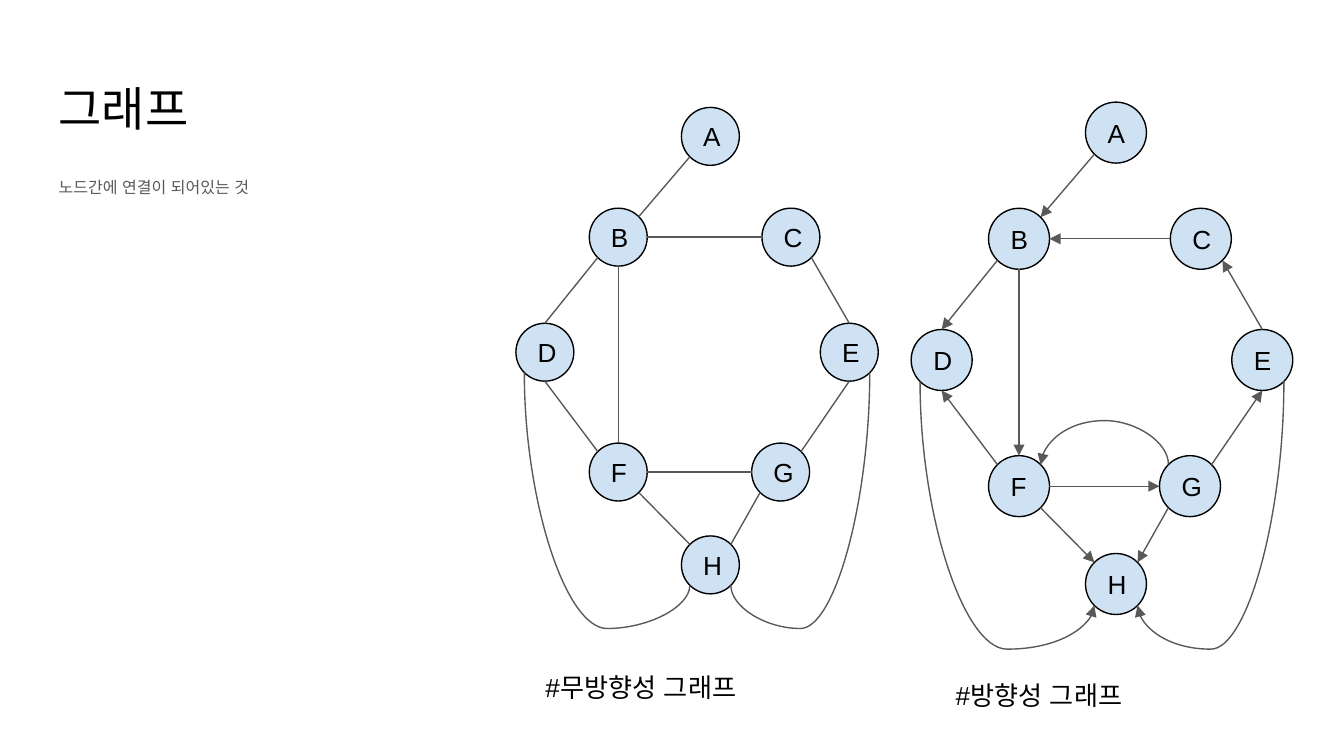
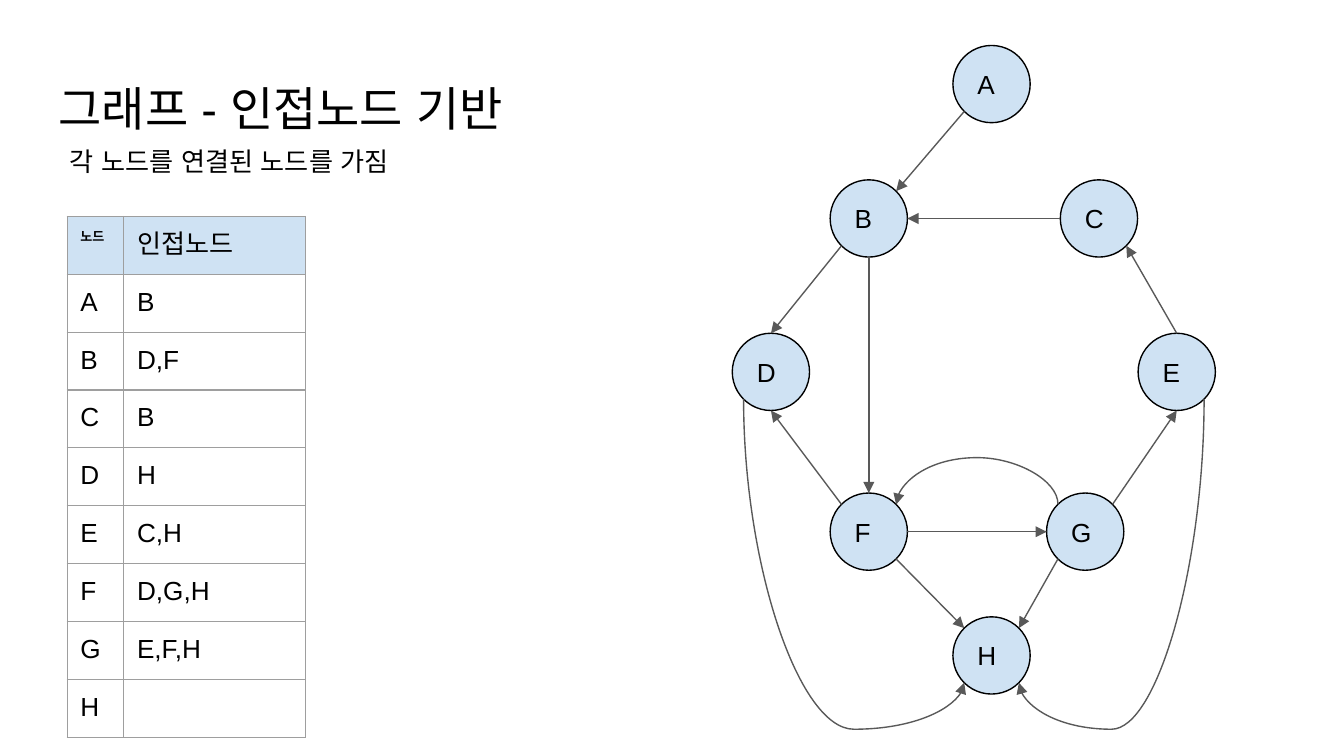
from lxml import etree
from pptx import Presentation
from pptx.dml.color import RGBColor
from pptx.enum.shapes import MSO_CONNECTOR, MSO_SHAPE
from pptx.enum.text import MSO_ANCHOR, MSO_AUTO_SIZE
from pptx.oxml.ns import qn
from pptx.util import Cm, Pt

STRAIGHT, CURVE = MSO_CONNECTOR.STRAIGHT, MSO_CONNECTOR.CURVE
ELLIPSE = MSO_SHAPE.OVAL
MIDDLE, TOP = MSO_ANCHOR.MIDDLE, MSO_ANCHOR.TOP
GROW = MSO_AUTO_SIZE.SHAPE_TO_FIT_TEXT

# Shared look
FONT = "Arial"
BLACK, GREY, PALE_BLUE, BORDER = "000000", "595959", "CFE2F3", "9E9E9E"
INSET = Cm(0.25)
LINE_WIDTH = Pt(0.75)
BODY_SIZE = 14

# Graph at full size, in cm: left and top of every node
NODE_SIZE = 1.46
NODES = {
    "A": (4.17, 0), "B": (1.85, 2.54), "C": (6.2, 2.54), "D": (0, 5.44),
    "F": (1.85, 8.46), "H": (4.17, 10.8), "G": (5.94, 8.46), "E": (7.67, 5.44),
}
# Connection sites of an ellipse: number and direction from the centre
DIAGONAL = 0.5 ** 0.5
SITES = {
    "top": (0, 0, -1), "top left": (1, -DIAGONAL, -DIAGONAL),
    "left": (2, -1, 0), "bottom left": (3, -DIAGONAL, DIAGONAL),
    "bottom": (4, 0, 1), "bottom right": (5, DIAGONAL, DIAGONAL),
    "right": (6, 1, 0), "top right": (7, DIAGONAL, -DIAGONAL),
}
EDGES = [
    ("A", "bottom left", "B", "top right"),
    ("B", "bottom left", "D", "top"),
    ("B", "bottom", "F", "top"),
    ("C", "left", "B", "right"),
    ("E", "top", "C", "bottom right"),
    ("F", "right", "G", "left"),
    ("F", "top left", "D", "bottom"),
    ("F", "bottom right", "H", "top left"),
    ("G", "bottom left", "H", "top right"),
    ("G", "top right", "E", "bottom"),
]
LOWER_ARCS = [
    ("D", "bottom left", "H", "bottom left"),
    ("E", "bottom right", "H", "bottom right"),
]
RETURN_ARC = ("G", "top left", "F", "top right")

ADJACENCY = [
    ("노드", "인접노드"), ("A", "B"), ("B", "D,F"), ("C", "B"), ("D", "H"),
    ("E", "C,H"), ("F", "D,G,H"), ("G", "E,F,H"), ("H", ""),
]
COLUMN_WIDTHS = [1.07, 1.22, 1.14, 1.07]
ROW_HEIGHT = 1.04


def rgb(value):
    return RGBColor.from_string(value)


def add_xml(parent, tag, **attributes):
    return etree.SubElement(parent, qn(tag), attributes)


# Text
def write_text(frame, text, size=BODY_SIZE, color=BLACK, bold=False,
               anchor=TOP, line_spacing=None, space_after=None):
    frame.word_wrap = True
    frame.vertical_anchor = anchor
    frame.margin_left = frame.margin_right = INSET
    frame.margin_top = frame.margin_bottom = INSET
    para = frame.paragraphs[0]
    if line_spacing:
        para.line_spacing = line_spacing
    if space_after:
        para.space_after = Pt(space_after)
    if not text:
        add_xml(para._p, "a:endParaRPr", sz=str(size * 100))
        return
    span = para.add_run()
    span.text = text
    span.font.name = FONT
    span.font.size = Pt(size)
    span.font.bold = bold
    span.font.color.rgb = rgb(color)
    add_xml(span.font._element, "a:ea", typeface=FONT)


def add_text(page, text, left, top, width, height, grow=False, **style):
    box = page.shapes.add_textbox(Cm(left), Cm(top), Cm(width), Cm(height))
    write_text(box.text_frame, text, **style)
    if grow:
        box.text_frame.auto_size = GROW


def add_title(page, text):
    add_text(page, text, 0.86, 1.25, 10.54, 1.6, size=25.2)


# Graph parts
def add_node(shapes, name, left, top, size):
    node = shapes.add_shape(ELLIPSE, Cm(left), Cm(top), Cm(size), Cm(size))
    node.shadow.inherit = False
    node.fill.solid()
    node.fill.fore_color.rgb = rgb(PALE_BLUE)
    node.line.color.rgb = rgb(BLACK)
    node.line.width = LINE_WIDTH
    write_text(node.text_frame, name, anchor=MIDDLE)
    node.text_frame.paragraphs[0].alignment = 1
    return node


def site_point(node, site):
    _, across, down = SITES[site]
    radius = node.width / 2
    return (round(node.left + radius * (1 + across)),
            round(node.top + radius * (1 + down)))


def finish_edge(edge, nodes, ends, arrow):
    """Style a connector and attach it to the nodes at its two ends."""
    start, start_site, end, end_site = ends
    edge.line.color.rgb = rgb(GREY)
    edge.line.width = LINE_WIDTH
    if arrow:
        add_xml(edge.line._get_or_add_ln(), "a:tailEnd", type="triangle")
    add_xml(edge._element.spPr, "a:effectLst")
    joints = edge._element.find(".//" + qn("p:cNvCxnSpPr"))
    for tag, name, site in (("a:stCxn", start, start_site),
                            ("a:endCxn", end, end_site)):
        add_xml(joints, tag, id=str(nodes[name].shape_id),
                idx=str(SITES[site][0]))


def add_edge(shapes, nodes, ends, arrow):
    start, start_site, end, end_site = ends
    edge = shapes.add_connector(STRAIGHT, *site_point(nodes[start], start_site),
                                *site_point(nodes[end], end_site))
    finish_edge(edge, nodes, ends, arrow)


def add_arc(shapes, nodes, ends, arrow, below):
    """Curve that leaves and arrives vertically, passing below or above."""
    start, start_site, end, end_site = ends
    x1, y1 = site_point(nodes[start], start_site)
    x2, y2 = site_point(nodes[end], end_site)
    sag = Cm(0.63) + 0.17 * nodes[start].width
    # The box is laid on its side, so its width is the vertical run
    width, height = max(y2 - y1, Cm(0.01)), abs(x2 - x1)
    left = round((x1 + x2 - width) / 2)
    top = round((y1 + y2 - height) / 2)
    arc = shapes.add_connector(CURVE, left, top, left + width, top + height)
    frame = arc._element.spPr.find(qn("a:xfrm"))
    if x2 > x1:
        frame.set("rot", str(270 * 60000))
        frame.set("flipH", "1")
    else:
        frame.set("rot", str(90 * 60000))
    bend = (width + sag if below else -sag) / width
    guides = arc._element.spPr.find(".//" + qn("a:avLst"))
    add_xml(guides, "a:gd", name="adj1", fmla=f"val {round(bend * 100000)}")
    finish_edge(arc, nodes, ends, arrow)


def add_graph(shapes, left, top, scale=1.0, directed=True):
    nodes = {
        name: add_node(shapes, name, left + x * scale, top + y * scale,
                       NODE_SIZE * scale)
        for name, (x, y) in NODES.items()
    }
    for ends in EDGES:
        add_edge(shapes, nodes, ends, directed)
    for ends in LOWER_ARCS:
        add_arc(shapes, nodes, ends, directed, below=True)
    if directed:
        add_arc(shapes, nodes, RETURN_ARC, directed, below=False)


# Table
def add_borders(cell):
    properties = cell._tc.get_or_add_tcPr()
    for place, side in enumerate(("a:lnL", "a:lnR", "a:lnT", "a:lnB")):
        line = etree.Element(qn(side), w=str(LINE_WIDTH))
        add_xml(add_xml(line, "a:solidFill"), "a:srgbClr", val=BORDER)
        properties.insert(place, line)


def add_adjacency_table(page, left, top):
    rows, columns = len(ADJACENCY), len(COLUMN_WIDTHS)
    table = page.shapes.add_table(
        rows, columns, Cm(left), Cm(top),
        Cm(sum(COLUMN_WIDTHS)), Cm(ROW_HEIGHT * rows)).table
    table.first_row = table.horz_banding = False
    for column, width in zip(table.columns, COLUMN_WIDTHS):
        column.width = Cm(width)
    for index, texts in enumerate(ADJACENCY):
        table.rows[index].height = Cm(ROW_HEIGHT)
        table.cell(index, 1).merge(table.cell(index, columns - 1))
        for position in range(columns):
            cell = table.cell(index, position)
            corner = index == position == 0
            text = texts[position] if position < len(texts) else ""
            cell.margin_left = cell.margin_right = INSET
            cell.margin_top = cell.margin_bottom = INSET
            write_cell(cell, text, size=7 if corner else BODY_SIZE, bold=corner)
            if index == 0:
                cell.fill.solid()
                cell.fill.fore_color.rgb = rgb(PALE_BLUE)
            else:
                cell.fill.background()
            add_borders(cell)


def write_cell(cell, text, size, bold):
    """Cells keep their own margins, so only the paragraph is written."""
    para = cell.text_frame.paragraphs[0]
    if not text:
        add_xml(para._p, "a:endParaRPr", sz=str(size * 100))
        return
    span = para.add_run()
    span.text = text
    format_span(span, size, bold)


def format_span(span, size, bold):
    span.font.name = FONT
    span.font.size = Pt(size)
    span.font.bold = bold
    span.font.color.rgb = rgb(BLACK)
    add_xml(span.font._element, "a:ea", typeface=FONT)


# Slides
def build_graph_kinds(page):
    add_title(page, "그래프")
    add_text(page, "노드간에 연결이 되어있는 것", 0.86, 3.2, 11.28, 1.32,
             size=8.6, color=GREY, line_spacing=0.95, space_after=12)
    add_graph(page.shapes.add_group_shape().shapes, 17.22, 1.93, scale=0.79)
    add_graph(page.shapes.add_group_shape().shapes, 9.75, 2.03, scale=0.75,
              directed=False)
    add_text(page, "#무방향성 그래프", 10.06, 12.45, 4.85, 1.12, grow=True)
    add_text(page, "#방향성 그래프", 17.81, 12.6, 4.85, 1.12, grow=True)


def build_adjacency(page):
    add_title(page, "그래프 - 인접노드 기반")
    add_graph(page.shapes, 13.84, 0.86)
    add_adjacency_table(page, 1.27, 4.09)
    add_text(page, "각 노드를 연결된 노드를 가짐", 1.07, 2.49, 10.95, 1.12,
             grow=True)


def main():
    deck = Presentation()
    deck.slide_width, deck.slide_height = Cm(25.4), Cm(14.29)
    blank = deck.slide_layouts[6]
    for build in (build_graph_kinds, build_adjacency):
        build(deck.slides.add_slide(blank))
    deck.save("out.pptx")


if __name__ == "__main__":
    main()
